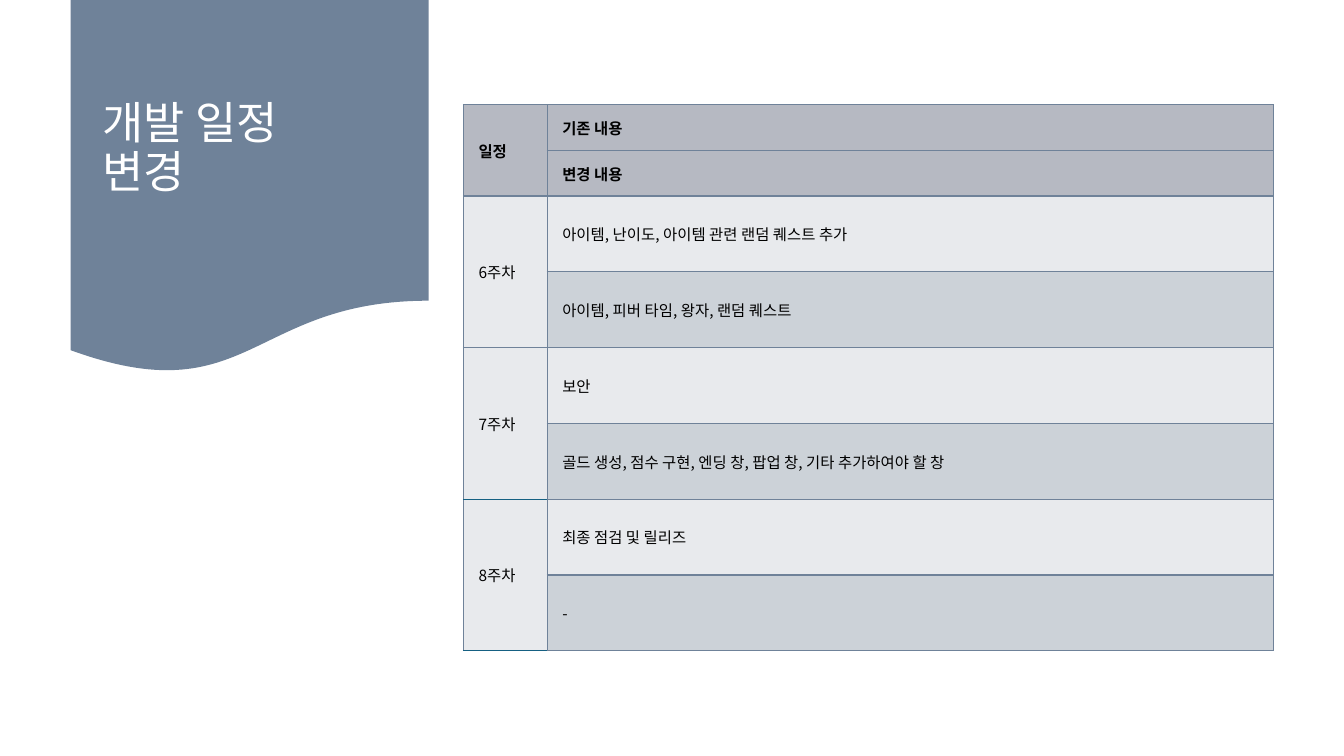
from lxml import etree
from pptx import Presentation
from pptx.dml.color import RGBColor
from pptx.enum.shapes import MSO_SHAPE
from pptx.enum.text import MSO_ANCHOR
from pptx.oxml.ns import qn
from pptx.util import Cm, Pt

DOCUMENT = MSO_SHAPE.FLOWCHART_DOCUMENT
MIDDLE = MSO_ANCHOR.MIDDLE
FONT = "Noto Sans CJK KR"
COLORS = {
    "slate": "6F8299",
    "teal": "156082",
    "header": "B6B9C2",
    "before": "E8EAED",
    "after": "CCD2D8",
    "black": "000000",
    "white": "FFFFFF",
}
SCHEDULE = [
    ("일정", "기존 내용", "변경 내용"),
    ("6주차", "아이템, 난이도, 아이템 관련 랜덤 퀘스트 추가", "아이템, 피버 타임, 왕자, 랜덤 퀘스트"),
    ("7주차", "보안", "골드 생성, 점수 구현, 엔딩 창, 팝업 창, 기타 추가하여야 할 창"),
    ("8주차", "최종 점검 및 릴리즈", "-"),
]
WEEK_EDGES = {
    "7주차": {"B": "teal"},
    "8주차": {"T": "teal", "B": "teal"},
}


def rgb(name):
    """Return the named colour."""
    return RGBColor.from_string(COLORS[name])


def add_run(paragraph, text, size, color, bold=False):
    """Add one formatted run to a paragraph."""
    run = paragraph.add_run()
    run.text = text
    run.font.size = Pt(size)
    run.font.bold = bold
    run.font.name = FONT
    run.font.color.rgb = rgb(color)
    east_asian = etree.SubElement(run._r.get_or_add_rPr(), qn("a:ea"))
    east_asian.set("typeface", FONT)


def add_banner(slide):
    """Add the wavy banner at the top left."""
    shape = slide.shapes.add_shape(DOCUMENT, Cm(1.78), Cm(0), Cm(9.02), Cm(9.45))
    shape.shadow.inherit = False
    shape.fill.solid()
    shape.fill.fore_color.rgb = rgb("slate")
    shape.line.fill.background()


def add_title(slide, lines):
    """Add the title lines over the banner."""
    box = slide.shapes.add_textbox(Cm(2.34), Cm(0.48), Cm(7.9), Cm(6.58))
    frame = box.text_frame
    frame.word_wrap = True
    frame.vertical_anchor = MIDDLE
    paragraph = frame.paragraphs[0]
    paragraph.line_spacing = 0.9
    for index, line in enumerate(lines):
        if index:
            paragraph.add_line_break()
        add_run(paragraph, line, 32, "white")


def set_borders(cell, edges):
    """Draw all four cell borders, slate unless edges names a colour."""
    properties = cell._tc.get_or_add_tcPr()
    for index, side in enumerate("LRTB"):
        line = etree.Element(qn(f"a:ln{side}"), w=str(Pt(1)))
        fill = etree.SubElement(line, qn("a:solidFill"))
        color = COLORS[edges.get(side, "slate")]
        etree.SubElement(fill, qn("a:srgbClr"), val=color)
        properties.insert(index, line)


def style_cell(cell, fill, is_header, edges):
    """Set the fill, margins, anchor and borders of a cell."""
    cell.fill.solid()
    cell.fill.fore_color.rgb = rgb(fill)
    cell.vertical_anchor = MIDDLE
    cell.margin_left = Cm(0.38)
    cell.margin_right = Cm(0.41 if is_header else 0.36)
    cell.margin_top = cell.margin_bottom = Cm(0.3)
    set_borders(cell, edges)


def add_schedule(slide):
    """Add the table with a pair of rows for each schedule entry."""
    frame = slide.shapes.add_table(
        2 * len(SCHEDULE), 2, Cm(11.68), Cm(2.64), Cm(20.42), Cm(13.76)
    )
    table = frame.table
    table.horz_banding = False
    table.columns[0].width = Cm(2.11)
    table.columns[1].width = Cm(18.31)
    for index, (label, before, after) in enumerate(SCHEDULE):
        is_header = index == 0
        top = 2 * index
        edges = WEEK_EDGES.get(label, {})
        fills = ("header", "header") if is_header else ("before", "after")
        for offset, (text, fill) in enumerate(zip((before, after), fills)):
            row = top + offset
            table.rows[row].height = Cm(1.15 if is_header else 1.91)
            style_cell(table.cell(row, 0), fills[0], is_header, edges)
            content = table.cell(row, 1)
            style_cell(content, fill, is_header, {})
            add_run(content.text_frame.paragraphs[0], text, 11, "black", is_header)
        week = table.cell(top, 0)
        week.merge(table.cell(top + 1, 0))
        add_run(week.text_frame.paragraphs[0], label, 11, "black", is_header)


def main():
    """Build and save the schedule slide."""
    presentation = Presentation()
    presentation.slide_width = Cm(33.87)
    presentation.slide_height = Cm(19.05)
    slide = presentation.slides.add_slide(presentation.slide_layouts[6])
    add_banner(slide)
    add_title(slide, ["개발 일정", "변경"])
    add_schedule(slide)
    presentation.save("out.pptx")


if __name__ == "__main__":
    main()
